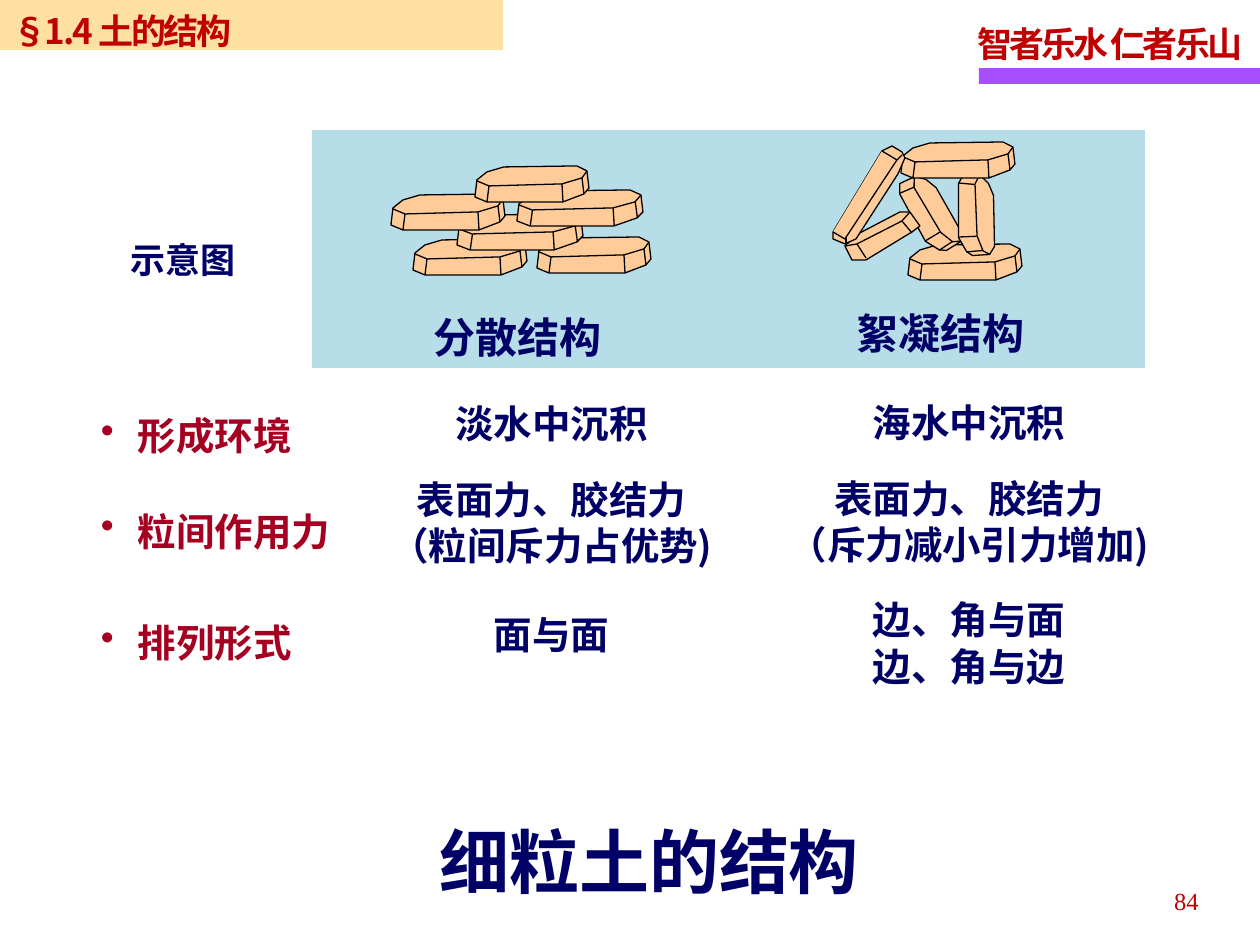
import math
from dataclasses import dataclass

import pptx
import pptx.dml.color
import pptx.enum.shapes
import pptx.enum.text
import pptx.oxml.ns
import pptx.util
from lxml import etree


@dataclass(frozen=True)
class Theme:
    navy: str = "000066"
    red: str = "C00000"
    crimson: str = "A50021"
    purple: str = "A74FFF"
    sky: str = "B7DEE8"
    sand: str = "FFCC66"
    clay: str = "FFCC99"
    black: str = "000000"
    sans: str = "Noto Sans CJK SC"
    serif: str = "Times New Roman"
    number: int = 14
    small: int = 20
    body: int = 22
    caption: int = 24
    title: int = 40
    seam: float = 0.75


T = Theme()
EMU_PER_PX = 914400 / 126
ALIGN = pptx.enum.text.PP_ALIGN

ASPECTS = [("形成环境", 0, 0.45), ("粒间作用力", 0.4, 1), ("排列形式", 0.25, 0)]
DISPERSED = [("淡水中沉积", 0, 0.25), ("表面力、胶结力", 0.5, 0),
             ("（粒间斥力占优势)", 0, 0.6), ("面与面", 0.5, 0)]
FLOCCULATED = [("海水中沉积", 0, 0.25), ("表面力、胶结力", 0.5, 0),
               ("（斥力减小引力增加)", 0, 0.25), ("边、角与面", 0.5, 0),
               ("边、角与边", 0, 0)]

SLAB_W, SLAB_H = 114, 36
SLAB_OUTLINE = [(0, 31), (12, 36), (88, 36), (109, 28), (114, 22),
                (112, 5), (102, 0), (29, 1), (12, 6), (2, 14)]
SLAB_EDGE = [(2, 15), (14, 20), (87, 18), (107, 12), (112, 5)]
SLAB_SEAMS = [((14, 20), (12, 36)), ((87, 18), (88, 36)), ((107, 12), (109, 28))]

DISPERSED_SLABS = [(413, 239, 114, 0), (537, 237, 114, 0), (457, 214, 126, 0),
                   (517, 190, 126, 0), (391, 194, 114, 0), (475, 166, 114, 0)]
FLOCCULATED_SLABS = [(908, 244, 114, 0), (890, 195, 81, 61.5),
                     (936, 197, 81, 90), (901, 142, 114, 0)]
LEANING_SLABS = [
    dict(outline=[(866, 260), (912, 232), (920, 226), (910, 212),
                  (900, 212), (858, 234), (845, 246), (852, 260)],
         edge=[(845, 246), (857, 244), (902, 221), (910, 212)],
         seams=[((857, 244), (866, 258)), ((902, 221), (912, 233))]),
    dict(outline=[(833, 232), (882, 151), (892, 146), (902, 152), (905, 158),
                  (898, 174), (856, 239), (845, 244), (833, 239)],
         edge=[(882, 151), (897, 160), (845, 239), (833, 232)],
         seams=[((897, 160), (902, 155)), ((846, 238), (846, 244))]),
]


def px(n):
    return pptx.util.Emu(round(n * EMU_PER_PX))


def rgb(color):
    return pptx.dml.color.RGBColor.from_string(color)


def rect(shapes, box, color, alpha=None):
    sp = shapes.add_shape(pptx.enum.shapes.MSO_SHAPE.RECTANGLE, *map(px, box))
    sp.shadow.inherit = False
    sp.fill.solid()
    sp.fill.fore_color.rgb = rgb(color)
    sp.line.fill.background()
    if alpha:
        clr = sp.fill._xPr.find(".//" + pptx.oxml.ns.qn("a:srgbClr"))
        etree.SubElement(clr, pptx.oxml.ns.qn("a:alpha"), val=str(alpha * 1000))
    return sp


def write(sp, paras, size, color, font, leading, align=ALIGN.LEFT, bold=True,
          spacing=None, indent=0, inset=True, wrap=True):
    tf = sp.text_frame
    tf.word_wrap = wrap
    tf.vertical_anchor = pptx.enum.text.MSO_ANCHOR.TOP
    if not inset:
        tf.margin_left = tf.margin_right = 0
    for i, (text, before, after) in enumerate(paras):
        p = tf.add_paragraph() if i else tf.paragraphs[0]
        p.text = text
        p.alignment = align
        p.line_spacing = pptx.util.Pt(leading)
        p.space_before = pptx.util.Pt(before * size)
        p.space_after = pptx.util.Pt(after * size)
        if indent:
            pPr = p._p.get_or_add_pPr()
            pPr.set("marL", str(px(indent)))
            pPr.set("indent", str(-px(indent)))
            etree.SubElement(pPr, pptx.oxml.ns.qn("a:buChar"), char="•")
        for r in p.runs:
            r.font.size = pptx.util.Pt(size)
            r.font.bold = bold
            r.font.name = font
            r.font.color.rgb = rgb(color)
            rPr = r._r.get_or_add_rPr()
            etree.SubElement(rPr, pptx.oxml.ns.qn("a:ea"), typeface=T.sans)
            if spacing:
                rPr.set("spc", str(round(spacing * 100)))


def label(shapes, box, text, *style, **options):
    paras = [(text, 0, 0)] if isinstance(text, str) else text
    write(shapes.add_textbox(*map(px, box)), paras, *style, **options)


def outline_style(sp):
    sp.line.color.rgb = rgb(T.black)
    sp.line.width = pptx.util.Pt(T.seam)


def polygon(shapes, points, close, rotation=0):
    fb = shapes.build_freeform(*points[0], scale=EMU_PER_PX)
    fb.add_line_segments(points[1:], close=close)
    sp = fb.convert_to_shape()
    sp.shadow.inherit = False
    sp.fill.solid()
    sp.fill.fore_color.rgb = rgb(T.clay)
    outline_style(sp)
    sp.rotation = rotation


def seam(shapes, start, end):
    cn = shapes.add_connector(pptx.enum.shapes.MSO_CONNECTOR.STRAIGHT,
                              *map(px, (*start, *end)))
    outline_style(cn)
    etree.SubElement(cn._element.spPr, pptx.oxml.ns.qn("a:effectLst"))


def turn(point, center, degrees):
    a = math.radians(degrees)
    dx, dy = point[0] - center[0], point[1] - center[1]
    return (center[0] + dx * math.cos(a) - dy * math.sin(a),
            center[1] + dx * math.sin(a) + dy * math.cos(a))


def middle(points):
    return tuple((min(v) + max(v)) / 2 for v in zip(*points))


def slab(shapes, left, top, width, angle):
    def place(points):
        return [(left + x * width / SLAB_W, top + y) for x, y in points]

    center = (left + width / 2, top + SLAB_H / 2)
    for shape_points, close in ((SLAB_OUTLINE, True), (SLAB_EDGE, False)):
        points = place(shape_points)
        mid = middle(points)
        moved = turn(mid, center, angle)
        polygon(shapes, [(x + moved[0] - mid[0], y + moved[1] - mid[1])
                         for x, y in points], close, angle)
    for ends in SLAB_SEAMS:
        seam(shapes, *(turn(pt, center, angle) for pt in place(ends)))


def structure(shapes, name, box, slabs, leaning=()):
    group = shapes.add_group_shape().shapes
    for item in slabs:
        slab(group, *item)
    for item in leaning:
        polygon(group, item["outline"], True)
        polygon(group, item["edge"], False)
        for ends in item["seams"]:
            seam(group, *ends)
    label(group, box, name, T.caption, T.navy, T.serif, 31.5)


def main():
    prs = pptx.Presentation()
    prs.slide_width, prs.slide_height = px(1260), px(945)
    shapes = prs.slides.add_slide(prs.slide_layouts[6]).shapes

    rect(shapes, (979, 68, 281, 16), T.purple)
    label(shapes, (965, 9, 297, 62), "智者乐水 仁者乐山", T.small, T.red,
          T.serif, 28.5, spacing=-1.7, wrap=False)
    label(shapes, (917, 877, 294, 50), "84", T.number, T.red, T.serif, 18.5,
          align=ALIGN.RIGHT, bold=False)
    rect(shapes, (312, 130, 833, 238), T.sky)
    label(shapes, (427, 804, 566, 97), "细粒土的结构", T.title, T.navy, T.sans, 53)
    label(shapes, (101, 389, 265, 296), ASPECTS, T.body, T.crimson, T.sans, 36,
          indent=37, inset=False)
    for box, paras in (((367, 394, 369, 284), DISPERSED),
                       ((770, 393, 398, 312), FLOCCULATED)):
        label(shapes, box, paras, T.body, T.navy, T.sans, 26.5,
              align=ALIGN.CENTER, inset=False)
    structure(shapes, "絮凝结构", (844, 297, 197, 64), FLOCCULATED_SLABS, LEANING_SLABS)
    label(shapes, (118, 231, 152, 54), "示意图", T.small, T.navy, T.serif, 25)
    structure(shapes, "分散结构", (421, 301, 204, 63), DISPERSED_SLABS)
    write(rect(shapes, (0, 0, 503, 50), T.sand, alpha=60), [("§1.4 土的结构", 0, 0)],
          T.small, T.red, T.sans, 26, spacing=-1.4)
    prs.save("out.pptx")


if __name__ == "__main__":
    main()
